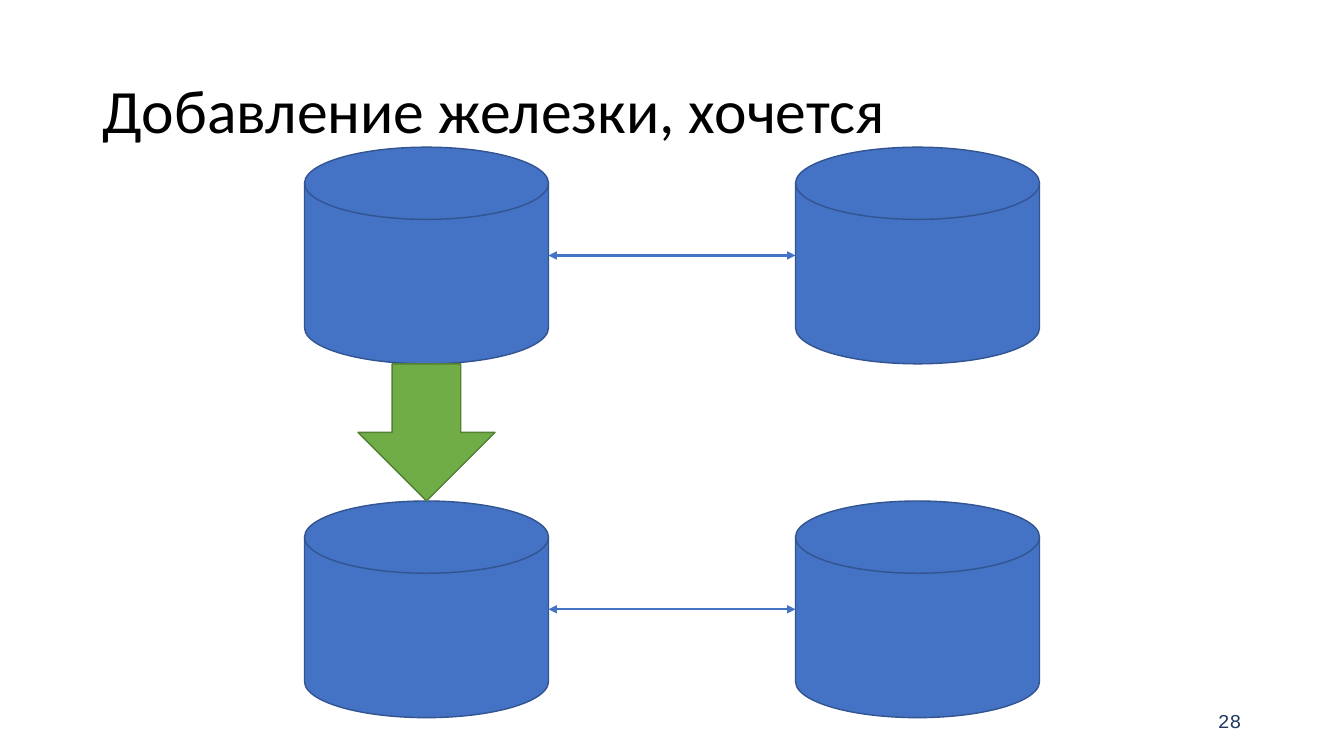
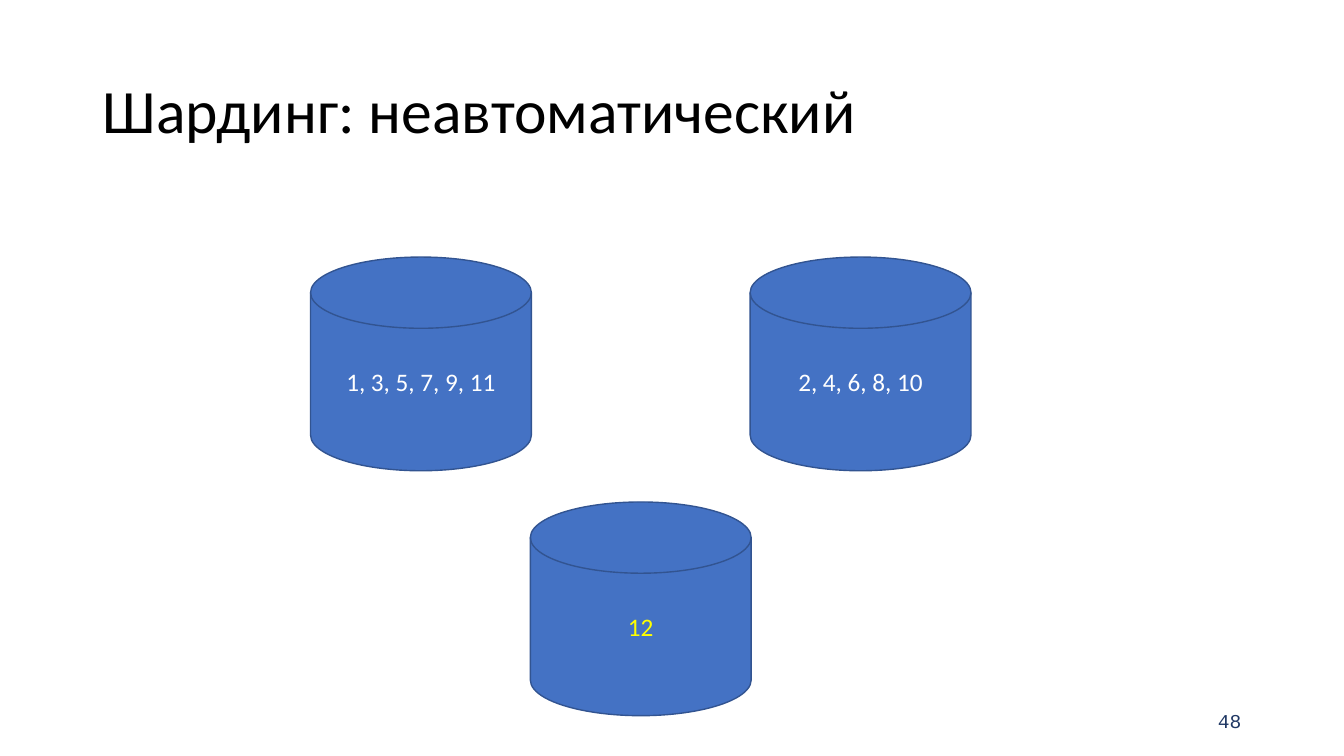
from dataclasses import dataclass

from lxml import etree
from pptx import Presentation
from pptx.dml.color import RGBColor
from pptx.enum.shapes import MSO_CONNECTOR, MSO_SHAPE
from pptx.enum.text import MSO_ANCHOR, PP_ALIGN
from pptx.oxml.ns import qn
from pptx.util import Pt

PX = 9144  # 100 px to the inch
DISK = MSO_SHAPE.FLOWCHART_MAGNETIC_DISK
ARROW = MSO_SHAPE.DOWN_ARROW
STRAIGHT = MSO_CONNECTOR.STRAIGHT
MIDDLE = MSO_ANCHOR.MIDDLE
LEFT, CENTER, RIGHT = PP_ALIGN.LEFT, PP_ALIGN.CENTER, PP_ALIGN.RIGHT
DISK_LEFT, DISK_RIGHT = 2, 4  # connection sites of the disk preset


@dataclass(frozen=True)
class Theme:
    black: str = "000000"
    white: str = "FFFFFF"
    yellow: str = "FFFF00"
    navy: str = "203864"
    blue: str = "4472C4"
    blue_edge: str = "325491"
    green: str = "70AD47"
    green_edge: str = "538035"
    font: str = "Calibri"
    mono: str = "Courier New"
    title: int = 44
    body: int = 18
    page: int = 14
    edge: float = 1
    link: float = 1.5


THEME = Theme()


def rgb(color):
    return RGBColor.from_string(color)


def emu(*lengths):
    return [n * PX for n in lengths]


def write(shape, text, size, color, font=THEME.font, align=LEFT, spacing=1.0):
    frame = shape.text_frame
    frame.word_wrap = True
    frame.vertical_anchor = MIDDLE
    para = frame.paragraphs[0]
    para.alignment = align
    para.line_spacing = spacing
    run = para.add_run()
    run.text = text
    run.font.name = font
    run.font.size = Pt(size)
    run.font.color.rgb = rgb(color)


def solid(shapes, kind, box, fill, edge):
    """Add a filled and outlined preset shape."""
    shape = shapes.add_shape(kind, *emu(*box))
    shape.shadow.inherit = False
    shape.fill.solid()
    shape.fill.fore_color.rgb = rgb(fill)
    shape.line.color.rgb = rgb(edge)
    shape.line.width = Pt(THEME.edge)
    return shape


def disk(shapes, box, text="", color=THEME.white):
    shape = solid(shapes, DISK, box, THEME.blue, THEME.blue_edge)
    if text:
        write(shape, text, THEME.body, color, align=CENTER)


def link(shapes, start, end):
    """Join two disks, right side to left side, with a two-headed arrow."""
    line = shapes.add_connector(STRAIGHT, 0, 0, 0, 0)
    line.begin_connect(start, 3)
    line.end_connect(end, 1)
    ends = line._element.nvCxnSpPr.cNvCxnSpPr
    ends.stCxn.idx = DISK_RIGHT
    ends.endCxn.idx = DISK_LEFT
    line.line.color.rgb = rgb(THEME.blue)
    line.line.width = Pt(THEME.link)
    stroke = line.line._get_or_add_ln()
    for tag in ("a:headEnd", "a:tailEnd"):
        etree.SubElement(stroke, qn(tag), type="triangle")
    etree.SubElement(line._element.spPr, qn("a:effectLst"))


def pair(slide, box, width):
    """Group two linked disks at the left and right ends of the box."""
    x, y, w, h = box
    shapes = slide.shapes.add_group_shape().shapes
    for left in (x, x + w - width):
        disk(shapes, (left, y, width, h))
    link(shapes, shapes[0], shapes[1])


def base(deck, title, page):
    """Add a slide with its title and page number."""
    slide = deck.slides.add_slide(deck.slide_layouts[6])
    head = slide.shapes.add_textbox(*emu(92, 40, 1150, 145))
    write(head, title, THEME.title, THEME.black, spacing=0.9)
    foot = slide.shapes.add_textbox(*emu(942, 695, 299, 40))
    write(foot, page, THEME.page, THEME.navy, THEME.mono, RIGHT)
    return slide


def growth(slide, box):
    """Place two disk pairs, with an arrow from the upper to the lower."""
    x, y, w, h = box
    width, height = 242, 215
    for top in (y, y + h - height):
        pair(slide, (x, top, w, height), width)
    gap = h - 2 * height
    left = x + (width - gap) // 2
    solid(slide.shapes, ARROW, (left, y + height, gap, gap),
          THEME.green, THEME.green_edge)


def shards(slide, box):
    """Place two disks above and a third, centred, below."""
    x, y, w, h = box
    width, height = 219, 212
    right, low = x + w - width, y + h - height
    disks = (
        (x, y, "1, 3, 5, 7, 9, 11", THEME.white),
        (right, y, "2, 4, 6, 8, 10", THEME.white),
        ((x + right) // 2, low, "12", THEME.yellow),
    )
    for left, top, text, color in disks:
        disk(slide.shapes, (left, top, width, height), text, color)


def main():
    deck = Presentation()
    deck.slide_width, deck.slide_height = emu(1333, 750)
    growth(base(deck, "Добавление железки, хочется", "28"),
           (302, 146, 729, 566))
    shards(base(deck, "Шардинг: неавтоматический", "48"),
           (308, 255, 655, 455))
    deck.save("out.pptx")


if __name__ == "__main__":
    main()
